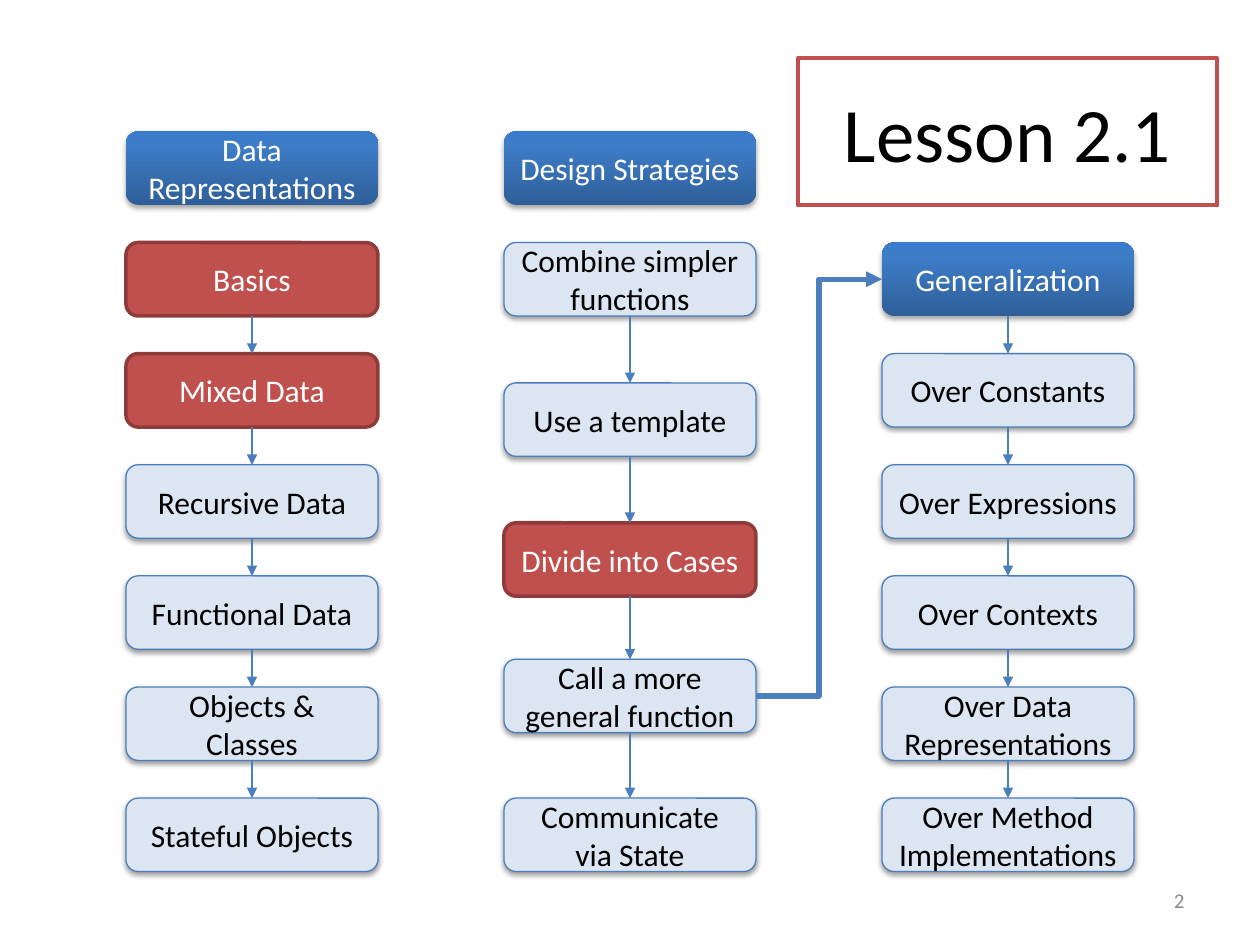
from copy import deepcopy
from itertools import pairwise

from pptx import Presentation
from pptx.dml.color import RGBColor
from pptx.enum.shapes import MSO_CONNECTOR as Link, MSO_SHAPE as Preset
from pptx.enum.text import MSO_ANCHOR as Anchor, MSO_AUTO_SIZE as Fit, PP_ALIGN as Align
from pptx.oxml.ns import qn
from pptx.oxml.xmlchemy import OxmlElement
from pptx.util import Cm, Pt

BOX_WIDTH, BOX_HEIGHT = 5.08, 1.48
HEADER_TOP, FIRST_TOP, ROW_STEP = 2.65, 4.89, 2.24
TOP, LEFT, BOTTOM, RIGHT = range(4)


def color(code):
    return RGBColor.from_string(code)


def child(parent, tag, **attributes):
    element = OxmlElement(tag)
    for key, value in attributes.items():
        element.set(key, str(value))
    parent.append(element)
    return element


class LessonMap:
    font = "Calibri"
    accent = "4B7EBC"
    header_stops = [(0, "2F5F99"), (0.8, "3D7CC7"), (1, "3A7CCB")]
    kinds = {
        "header": {"text": "FFFFFF", "shadow": (23000, 35000)},
        "topic": {"text": "000000", "fill": "DCE6F2", "line": (accent, 0.75),
                  "shadow": (20000, 38000)},
        "covered": {"text": "FFFFFF", "fill": "C0504D", "line": ("8E3B39", 2)},
    }

    def __init__(self, slide):
        self.slide = slide

    def label(self, shape, words, size, code, align=Align.CENTER):
        frame = shape.text_frame
        frame.text = words
        layout = {"word_wrap": True, "auto_size": Fit.NONE, "vertical_anchor": Anchor.MIDDLE}
        for key, value in layout.items():
            setattr(frame, key, value)
        paragraph = frame.paragraphs[0]
        paragraph.alignment = align
        font = paragraph.runs[0].font
        for key, value in {"name": self.font, "size": Pt(size)}.items():
            setattr(font, key, value)
        font.color.rgb = color(code)

    def outline(self, line, code, width):
        line.color.rgb = color(code)
        line.width = Pt(width)

    def shade(self, shape):
        shape.fill.gradient()
        stops = shape._element.spPr.find(qn("a:gradFill")).find(qn("a:gsLst"))
        stops.append(deepcopy(stops[-1]))
        for stop, (position, code) in zip(shape.fill.gradient_stops, self.header_stops):
            stop.position = position
            stop.color.rgb = color(code)
        shape.fill.gradient_angle = 90

    def cast_shadow(self, shape, distance, alpha):
        effects = shape._element.spPr.find(qn("a:effectLst"))
        shadow = child(effects, "a:outerShdw", blurRad=40000, dist=distance,
                       dir=5400000, rotWithShape=0)
        child(child(shadow, "a:srgbClr", val="000000"), "a:alpha", val=alpha)

    def box(self, words, left, top, kind):
        style = self.kinds[kind]
        shape = self.slide.shapes.add_shape(
            Preset.ROUNDED_RECTANGLE, Cm(left), Cm(top), Cm(BOX_WIDTH), Cm(BOX_HEIGHT))
        shape.shadow.inherit = False
        if "fill" in style:
            shape.fill.solid()
            shape.fill.fore_color.rgb = color(style["fill"])
            self.outline(shape.line, *style["line"])
        else:
            self.shade(shape)
            shape.line.fill.background()
        if "shadow" in style:
            self.cast_shadow(shape, *style["shadow"])
        self.label(shape, words, 18, style["text"])
        return shape

    def arrow(self, source, target, sites=(BOTTOM, TOP), link=Link.STRAIGHT, width=0.75):
        connector = self.slide.shapes.add_connector(link, 0, 0, 0, 0)
        connector.begin_connect(source, sites[0])
        connector.end_connect(target, sites[1])
        self.outline(connector.line, self.accent, width)
        properties = connector._element.spPr
        child(properties.find(qn("a:ln")), "a:tailEnd", type="triangle")
        child(properties, "a:effectLst")

    def chain(self, left, tops, entries):
        boxes = [self.box(words, left, top, kind) for top, (words, kind) in zip(tops, entries)]
        for source, target in pairwise(boxes):
            self.arrow(source, target)
        return boxes

    def title(self, words):
        heading = self.slide.shapes.title
        place = {"left": 16.08, "top": 1.17, "width": 8.46, "height": 2.97}
        for key, value in place.items():
            setattr(heading, key, Cm(value))
        geometry = child(heading._element.spPr, "a:prstGeom", prst="roundRect")
        child(geometry, "a:avLst")
        self.outline(heading.line, "C0504D", 2.25)
        self.label(heading, words, 44, "000000")

    def page_number(self, number):
        corner = self.slide.shapes.add_textbox(Cm(18.2), Cm(17.65), Cm(5.93), Cm(1.01))
        self.label(corner, number, 12, "8C8C8C", Align.RIGHT)


deck = Presentation()
deck.slide_width, deck.slide_height = Cm(25.4), Cm(19.05)
lesson = LessonMap(deck.slides.add_slide(deck.slide_layouts[5]))

data_left, strategy_left, general_left = (2.54 + 7.62 * column for column in range(3))
row_tops = [FIRST_TOP + ROW_STEP * row for row in range(6)]
strategy_tops = [FIRST_TOP, 7.72, 10.54, 13.29, row_tops[-1]]

lesson.title("Lesson 2.1")
lesson.box("Data Representations", data_left, HEADER_TOP, "header")
lesson.box("Design Strategies", strategy_left, HEADER_TOP, "header")
lesson.chain(data_left, row_tops, [
    ("Basics", "covered"),
    ("Mixed Data", "covered"),
    ("Recursive Data", "topic"),
    ("Functional Data", "topic"),
    ("Objects & Classes", "topic"),
    ("Stateful Objects", "topic"),
])
strategies = lesson.chain(strategy_left, strategy_tops, [
    ("Combine simpler functions", "topic"),
    ("Use a template", "topic"),
    ("Divide into Cases", "covered"),
    ("Call a more general function", "topic"),
    ("Communicate via State", "topic"),
])
generalizations = lesson.chain(general_left, row_tops, [
    ("Generalization", "header"),
    ("Over Constants", "topic"),
    ("Over Expressions", "topic"),
    ("Over Contexts", "topic"),
    ("Over Data Representations", "topic"),
    ("Over Method Implementations", "topic"),
])
lesson.arrow(strategies[3], generalizations[0], (RIGHT, LEFT), Link.ELBOW, 3)
lesson.page_number("2")

deck.save("out.pptx")
